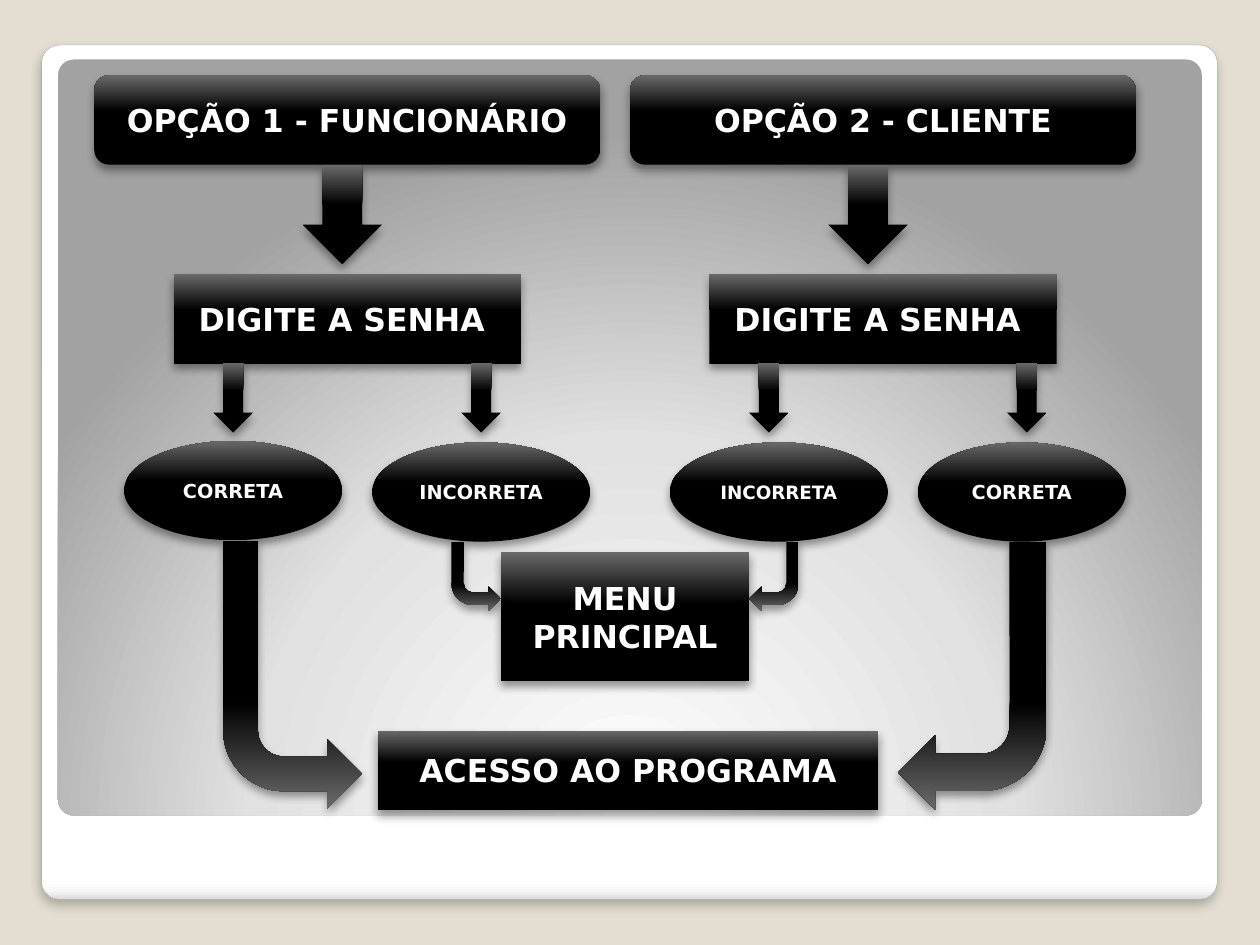
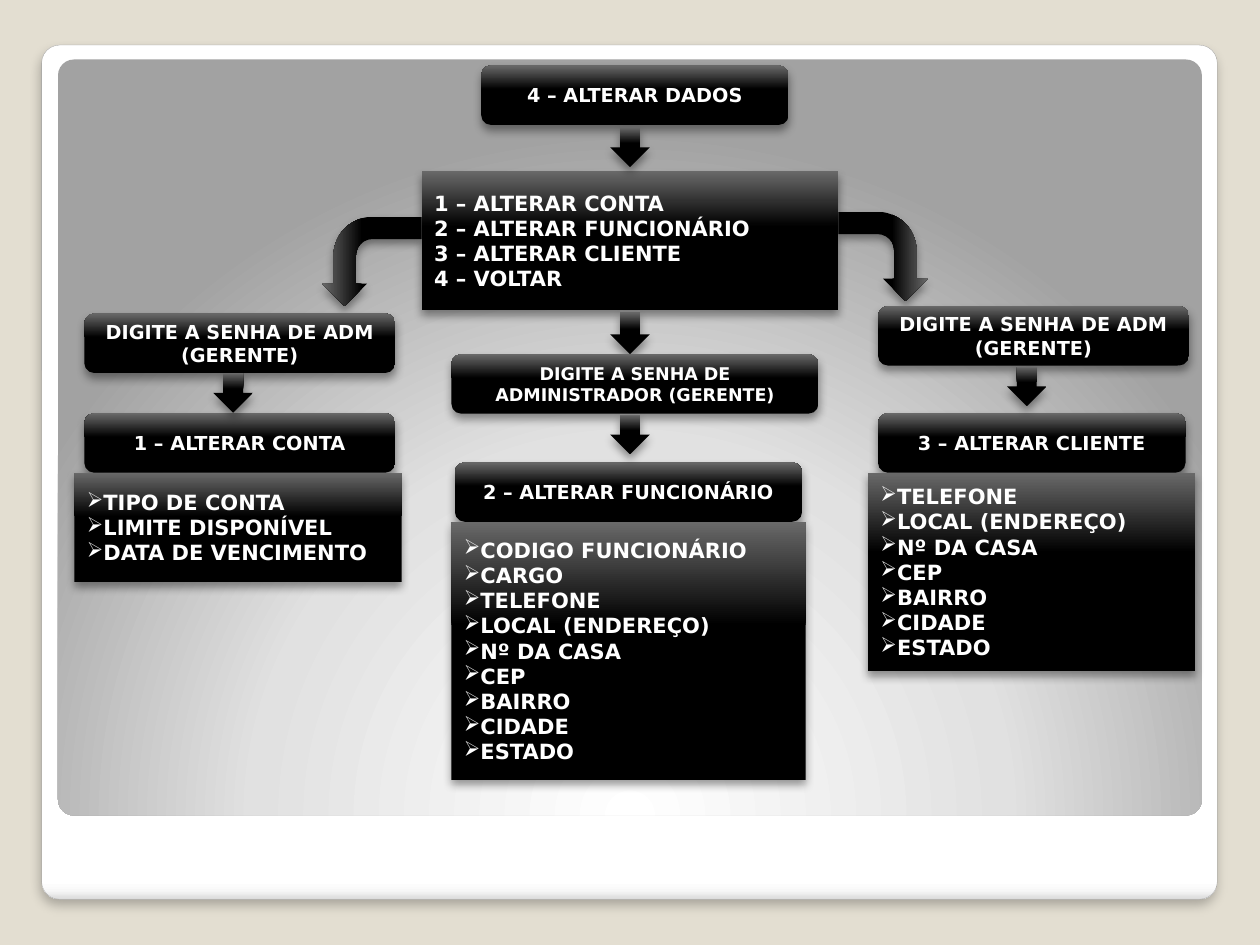
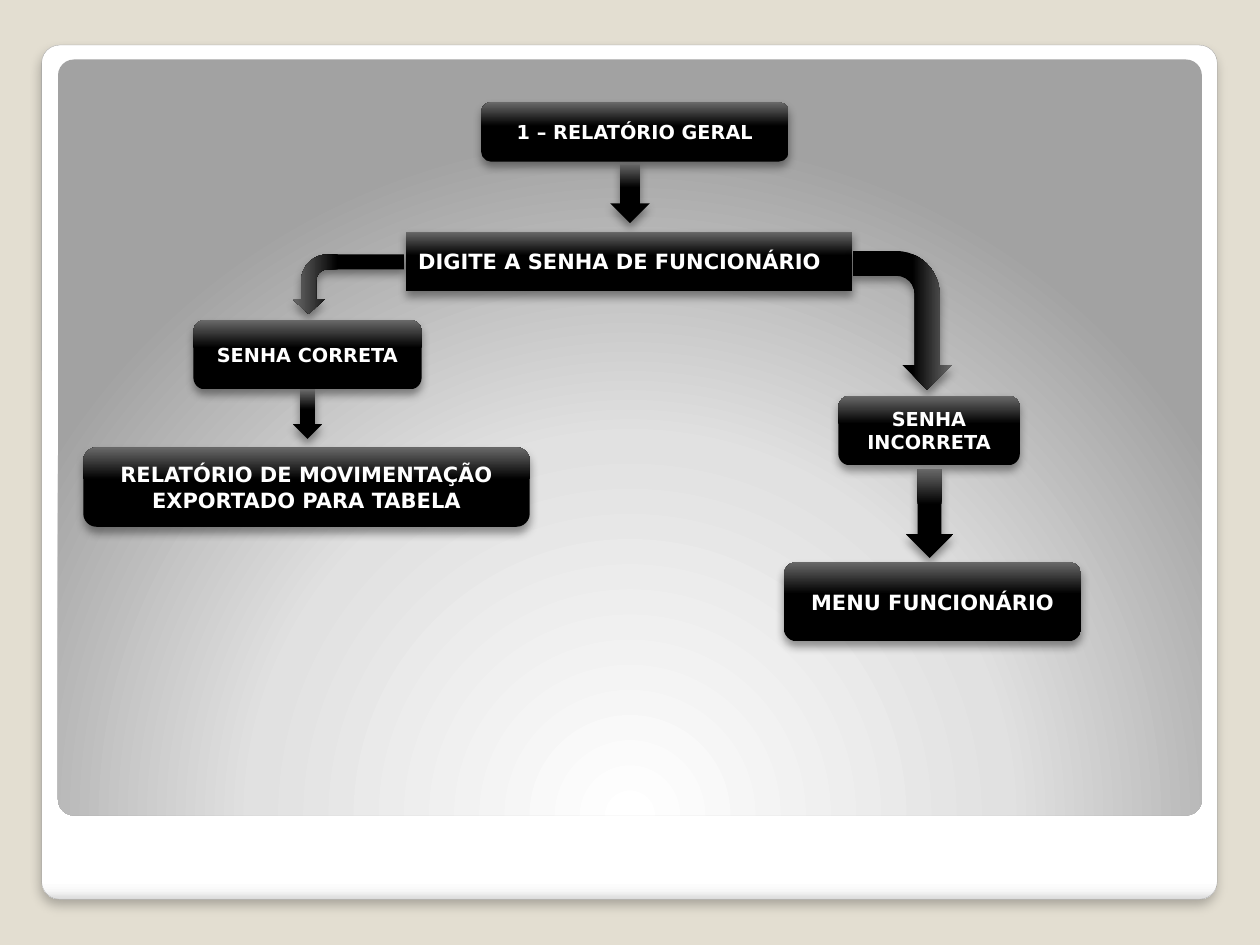
from lxml import etree
from pptx import Presentation
from pptx import util as u
from pptx.dml.color import RGBColor
from pptx.enum import shapes, text
from pptx.oxml.ns import qn

KIND = shapes.MSO_SHAPE
ALIGN = text.PP_ALIGN


def color(value):
    return RGBColor.from_string(value)


def child(parent, tag, **attributes):
    values = {name: str(value) for name, value in attributes.items()}
    return etree.SubElement(parent, qn(tag), values)


class FlowDeck:
    """Style of the flowcharts and the slide being drawn."""
    FONT = "DejaVu Sans"
    BACKGROUND, EDGE, TEXT, SHADE = "E3DED1", "A4A4A4", "FFFFFF", "000000"
    GLOSS = [(0, "000000"), (60, "000000"), (100, "696969")]
    FRAME = [(0, "FFFFFF"), (98, "FFFFFF"), (99, "F7F7F7"), (100, "DADADA")]
    GLOW = [(0, "FFFFFF"), (55, "E1E1E1"), (100, "A2A2A2")]

    def __init__(self):
        self.deck = Presentation()
        self.deck.slide_width, self.deck.slide_height = u.Cm(25.4), u.Cm(19.05)
        fill = self.deck.slide_master.background.fill
        fill.solid()
        fill.fore_color.rgb = color(self.BACKGROUND)
        self.slide = None

    def new_slide(self):
        self.slide = self.deck.slides.add_slide(self.deck.slide_layouts[6])
        # White frame
        frame = self.shape(KIND.ROUNDED_RECTANGLE, 0.84, 0.91, 23.7, 17.22)
        frame.adjustments[0] = 0.021
        self.gradient(frame, self.FRAME, 90)
        frame.line.color.rgb = color(self.EDGE)
        frame.line.width = u.Pt(0.16)
        self.shadow(frame, 25, 6, 4)
        # Grey panel lit from below
        panel = self.shape(KIND.ROUNDED_RECTANGLE, 1.17, 1.2, 23.06, 15.24)
        panel.adjustments[0] = 0.021
        self.gradient(panel, self.GLOW)

    def shape(self, kind, left, top, width, height):
        shape = self.slide.shapes.add_shape(
            kind, u.Cm(left), u.Cm(top), u.Cm(width), u.Cm(height))
        shape.shadow.inherit = False
        shape.line.fill.background()
        return shape

    def gradient(self, shape, stops, angle=None):
        """Linear at the given angle, or circular from below without one."""
        shape.fill.gradient()
        grad = shape.element.spPr.find(qn("a:gradFill"))
        grad.clear()
        grad.set("rotWithShape", "1")
        stop_list = child(grad, "a:gsLst")
        for place, shade in stops:
            stop = child(stop_list, "a:gs", pos=place * 1000)
            child(stop, "a:srgbClr", val=shade)
        if angle is None:
            circle = child(grad, "a:path", path="circle")
            child(circle, "a:fillToRect", l=50000, t=175000, r=50000, b=-75000)
        else:
            child(grad, "a:lin", ang=angle * 60000, scaled=0)

    def shadow(self, shape, opacity, blur, distance):
        effects = shape.element.spPr.find(qn("a:effectLst"))
        outer = child(effects, "a:outerShdw", blurRad=u.Pt(blur), dist=u.Pt(distance),
                      dir=90 * 60000, algn="ctr", rotWithShape=0)
        shade = child(outer, "a:srgbClr", val=self.SHADE)
        child(shade, "a:alpha", val=opacity * 1000)

    def glossy(self, kind, left, top, width, height):
        shape = self.shape(kind, left, top, width, height)
        self.gradient(shape, self.GLOSS, 270)
        self.shadow(shape, 40, 5.2, 3)
        return shape

    def box(self, words, left, top, width, height, size=11,
            kind=KIND.ROUNDED_RECTANGLE, align=ALIGN.CENTER, bullet=None):
        frame = self.glossy(kind, left, top, width, height).text_frame
        frame.word_wrap = True
        frame.vertical_anchor = text.MSO_ANCHOR.MIDDLE
        frame.text = words
        for paragraph in frame.paragraphs:
            paragraph.alignment = align
            if bullet:
                child(paragraph._p.get_or_add_pPr(), "a:buChar", char=bullet)
            for run in paragraph.runs:
                run.font.name, run.font.size, run.font.bold = self.FONT, u.Pt(size), True
                run.font.color.rgb = color(self.TEXT)

    def step(self, words, left, top, width, height, size=18, align=ALIGN.CENTER):
        self.box(words, left, top, width, height, size, KIND.RECTANGLE, align)

    def answer(self, words, left, top, width=4.4, size=11):
        self.box(words, left, top, width, 2, size, KIND.OVAL)

    def fields(self, names, left, top, width, height):
        self.box("\n".join(names), left, top, width, height, 12,
                 KIND.RECTANGLE, ALIGN.JUSTIFY, "➢")

    def down(self, left, top, width=0.8, height=0.8):
        self.glossy(KIND.DOWN_ARROW, left, top, width, height)

    def bend(self, left, top, width, height, turn, flip=None, bends=()):
        arrow = self.glossy(KIND.BENT_ARROW, left, top, width, height)
        arrow.rotation = turn
        if flip:
            arrow.element.spPr.find(qn("a:xfrm")).set(flip, "1")
        for index, bend in enumerate(bends):
            arrow.adjustments[index] = bend


def login_slide(flow):
    flow.new_slide()
    # Options and their password prompts
    options = [("OPÇÃO 1 - FUNCIONÁRIO", 1.9, 6.1, 3.5),
               ("OPÇÃO 2 - CLIENTE", 12.7, 16.7, 14.3)]
    for option, option_left, arrow_left, prompt_left in options:
        flow.box(option, option_left, 1.52, 10.2, 1.8, 18)
        flow.down(arrow_left, 3.33, 1.6, 2)
        flow.step("DIGITE A SENHA ", prompt_left, 5.53, 7, 1.8)
    # Answers
    flow.answer("CORRETA", 2.5, 8.89)
    flow.answer("INCORRETA", 13.5, 8.92, size=10.5)
    flow.answer("INCORRETA", 7.5, 8.92)
    flow.answer("CORRETA", 18.5, 8.92, 4.2)
    for left in (4.3, 9.3, 15.1, 20.3):
        flow.down(left, 7.32, height=1.4)
    # Outcomes
    flow.step("MENU PRINCIPAL", 10.1, 11.13, 5, 2.6)
    flow.bend(15.1, 10.92, 1, 1.4, 180)
    flow.bend(9.1, 10.92, 1, 1.4, 180, "flipH")
    flow.bend(18.1, 10.92, 3, 5.4, 180)
    flow.bend(4.5, 10.9, 2.8, 5.4, 180, "flipH")
    flow.step("ACESSO AO PROGRAMA", 7.62, 14.73, 10.08, 1.6)


def edit_slide(flow):
    flow.new_slide()
    # Menu
    flow.box("4 – ALTERAR DADOS", 9.7, 1.32, 6.2, 1.2)
    flow.step("1 – ALTERAR CONTA\n2 – ALTERAR FUNCIONÁRIO\n"
              "3 – ALTERAR CLIENTE\n4 – VOLTAR", 8.5, 3.45, 8.4, 2.8, 12, ALIGN.LEFT)
    flow.bend(6.6, 4.27, 1.8, 2, 90, "flipV")
    flow.bend(16.9, 4.27, 1.8, 1.8, 90)
    # Choices with their fields
    contact = ["TELEFONE", "LOCAL (ENDEREÇO)", "Nº DA CASA", "CEP",
               "BAIRRO", "CIDADE", "ESTADO"]
    flow.box("1 – ALTERAR CONTA", 1.7, 8.33, 6.27, 1.2)
    flow.fields(["TIPO DE CONTA", "LIMITE DISPONÍVEL", "DATA DE VENCIMENTO"],
                1.5, 9.53, 6.6, 2.2)
    flow.box("3 – ALTERAR CLIENTE", 17.7, 8.33, 6.2, 1.2)
    flow.fields(contact, 17.5, 9.53, 6.6, 4)
    flow.down(12.3, 6.3, height=0.84)
    flow.box("2 – ALTERAR FUNCIONÁRIO", 9.17, 9.32, 7, 1.2)
    flow.fields(["CODIGO FUNCIONÁRIO", "CARGO"] + contact, 9.1, 10.52, 7.14, 5.2)
    # Manager passwords
    for left, top in ((1.7, 6.32), (17.7, 6.17)):
        flow.box("DIGITE A SENHA DE ADM\n(GERENTE)", left, top, 6.27, 1.2)
    flow.box("DIGITE A SENHA DE ADMINISTRADOR (GERENTE)", 9.1, 7.14, 7.4, 1.2, 10)
    for left, top in ((12.3, 2.57), (20.3, 7.39), (4.3, 7.52), (12.3, 8.36)):
        flow.down(left, top)


def report_slide(flow):
    flow.new_slide()
    # Request
    flow.box("1 – RELATÓRIO GERAL", 9.7, 2.06, 6.2, 1.2)
    flow.down(12.3, 3.3, height=1.2)
    flow.step("DIGITE A SENHA DE FUNCIONÁRIO", 8.18, 4.67, 9, 1.2, 12, ALIGN.LEFT)
    # Wrong password
    flow.bend(16.79, 5.46, 2.8, 2, 90)
    flow.box("SENHA INCORRETA", 16.9, 7.98, 3.66, 1.4)
    flow.down(18.26, 9.45, 0.96, 1.8)
    flow.box("MENU FUNCIONÁRIO", 15.8, 11.33, 6, 1.6, 12)
    # Right password
    flow.bend(6.43, 4.6, 1.2, 2.26, 270, "flipH", (0.25, 0.27, 0.25, 0.44))
    flow.box("SENHA CORRETA", 3.9, 6.45, 4.6, 1.4)
    flow.down(5.9, 7.85, 0.6, 1)
    flow.box("RELATÓRIO DE MOVIMENTAÇÃO EXPORTADO PARA TABELA", 1.68, 9.02, 9, 1.6, 12)


def main():
    flow = FlowDeck()
    login_slide(flow)
    edit_slide(flow)
    report_slide(flow)
    flow.deck.save("out.pptx")


if __name__ == "__main__":
    main()
